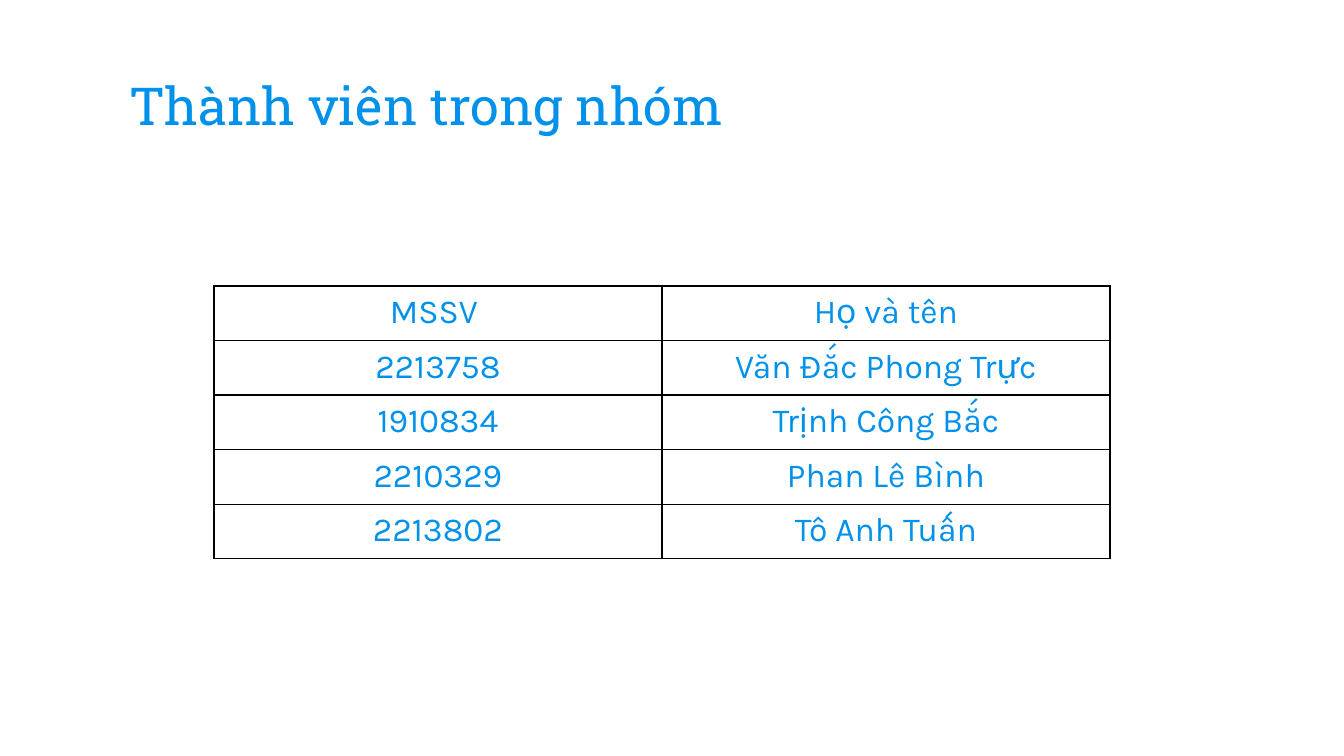
import pptx
import pptx.util
import pptx.dml.color
import pptx.enum.text
import pptx.oxml
import pptx.oxml.ns

# Content
TITLE = "Thành viên trong nhóm"
MEMBERS = [
    ("MSSV ", "Họ và tên"),
    ("2213758", "Văn Đắc Phong Trực"),
    ("1910834", "Trịnh Công Bắc"),
    ("2210329", "Phan Lê Bình"),
    ("2213802", "Tô Anh Tuấn"),
]

# Style and layout, lengths in px
COLORS = {"text": "0091EA", "border": "000000", "background": "FFFFFF"}
SLIDE_SIZE = (1344, 756)
TITLE_BOX = (116, 46, 1113, 103)
TABLE_BOX = (214, 286, 896, 273)
TITLE_INSET = 13
BORDER_PT = 0.75


def px(n):
    return round(n * 914400 / 134.4)


def rgb(name):
    return pptx.dml.color.RGBColor.from_string(COLORS[name])


def style(p, font, size, align):
    p.alignment = align
    p.font.name = font
    p.font.size = pptx.util.Pt(size)
    p.font.color.rgb = rgb("text")


def add_borders(cell):
    tcPr = cell._tc.get_or_add_tcPr()
    for i, side in enumerate(("lnL", "lnR", "lnT", "lnB")):
        tcPr.insert(i, pptx.oxml.parse_xml(
            f'<a:{side} {pptx.oxml.ns.nsdecls("a")} w="{pptx.util.Pt(BORDER_PT)}">'
            f'<a:solidFill><a:srgbClr val="{COLORS["border"]}"/></a:solidFill>'
            f'</a:{side}>'))


prs = pptx.Presentation()
prs.slide_width, prs.slide_height = map(px, SLIDE_SIZE)
s = prs.slides.add_slide(prs.slide_layouts[5])
s.background.fill.solid()
s.background.fill.fore_color.rgb = rgb("background")
align = pptx.enum.text.PP_ALIGN

# Title
title = s.shapes.title
title.left, title.top, title.width, title.height = map(px, TITLE_BOX)
tf = title.text_frame
tf.text = TITLE
tf.word_wrap = True
tf.auto_size = pptx.enum.text.MSO_AUTO_SIZE.NONE
tf.vertical_anchor = pptx.enum.text.MSO_ANCHOR.BOTTOM
tf.margin_left = tf.margin_right = tf.margin_top = tf.margin_bottom = px(TITLE_INSET)
style(tf.paragraphs[0], "Roboto Slab", 28, align.LEFT)

# Member table: equal columns and rows
table = s.shapes.add_table(len(MEMBERS), len(MEMBERS[0]), *map(px, TABLE_BOX)).table
table.first_row = table.horz_banding = False
for r, member in enumerate(MEMBERS):
    for c, text in enumerate(member):
        cell = table.cell(r, c)
        cell.text = text
        cell.fill.background()
        add_borders(cell)
        style(cell.text_frame.paragraphs[0], "Karla", 18, align.CENTER)

prs.save("out.pptx")
